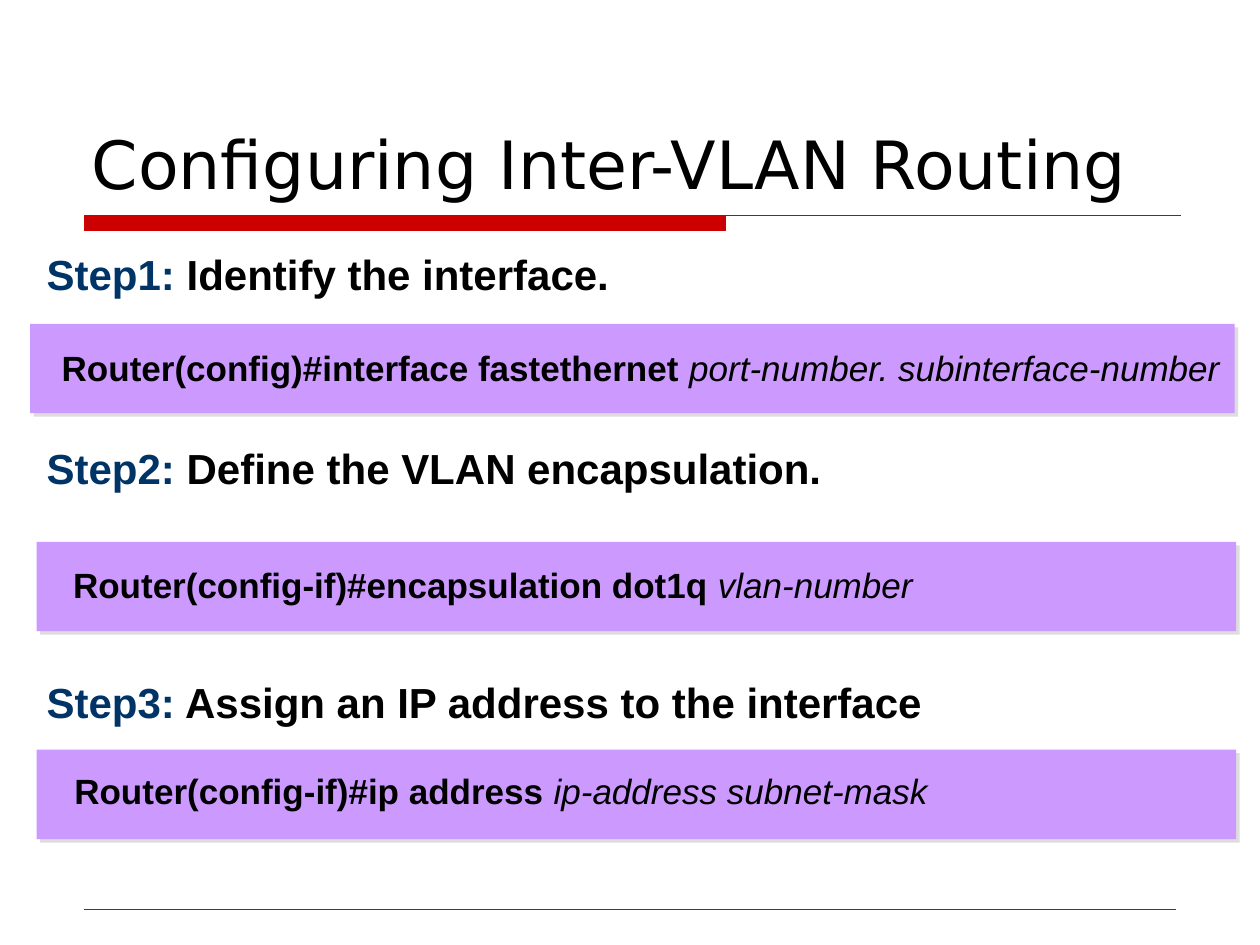
from lxml import etree
from pptx import Presentation
from pptx.dml.color import RGBColor
from pptx.enum.shapes import MSO_CONNECTOR, MSO_SHAPE
from pptx.enum.text import MSO_ANCHOR
from pptx.oxml.ns import qn
from pptx.util import Inches, Pt

RECT = MSO_SHAPE.RECTANGLE
LINE = MSO_CONNECTOR.STRAIGHT
TOP, BOTTOM = MSO_ANCHOR.TOP, MSO_ANCHOR.BOTTOM
RED = RGBColor(0xCC, 0x00, 0x00)
PURPLE = RGBColor(0xCC, 0x99, 0xFF)
NAVY = RGBColor(0x00, 0x33, 0x66)
BLACK = RGBColor(0x00, 0x00, 0x00)
SHADE = "DDDDDD"

STEPS = [
    ("Step1:", " Identify the interface.", 1.93, 4.75),
    ("Step2:", " Define the VLAN encapsulation.", 3.47, 6.45),
    ("Step3:", " Assign an IP address to the interface", 5.33, 8.08),
]
BARS = [(0.29, 5.95, 9.52), (0.29, 4.3, 9.52), (0.24, 2.57, 9.56)]
CODES = [
    ("Router(config)#interface fastethernet ",
     "port-number. subinterface-number", 0.41, 2.71, 9.45),
    ("Router(config-if)#encapsulation dot1q ",
     "vlan-number", 0.5, 4.43, 6.9),
    ("Router(config-if)#ip address ",
     "ip-address subnet-mask", 0.51, 6.07, 7.01),
]


def add_bar(slide, left, top, width):
    bar = slide.shapes.add_shape(
        RECT, Inches(left), Inches(top), Inches(width), Inches(0.71))
    bar.shadow.inherit = False
    bar.fill.solid()
    bar.fill.fore_color.rgb = PURPLE
    bar.line.fill.background()
    effects = bar.element.spPr.find(qn("a:effectLst"))
    shadow = etree.SubElement(
        effects, qn("a:outerShdw"), blurRad="0", dist=str(Pt(2.8)),
        dir="2700000", algn="ctr", rotWithShape="0")
    etree.SubElement(shadow, qn("a:srgbClr"), val=SHADE)


def paint_line(line, weight):
    line.fill.solid()
    line.fill.fore_color.rgb = RED
    line.width = Pt(weight)


def add_band(slide, left, top, mid, right, base):
    left, top, mid, right, base = map(Inches, (left, top, mid, right, base))
    path = slide.shapes.build_freeform(left, top)
    path.add_line_segments([(mid, top), (mid, base), (left, base)])
    path.move_to(left, top)
    path.add_line_segments([(right, top)], close=False)
    band = path.convert_to_shape()
    band.shadow.inherit = False
    band.fill.solid()
    band.fill.fore_color.rgb = RED
    paint_line(band.line, 0.75)


def add_rule(slide, left, right, top):
    rule = slide.shapes.add_connector(
        LINE, Inches(left), Inches(top), Inches(right), Inches(top))
    rule.element.remove(rule.element.find(qn("p:style")))
    paint_line(rule.line, 0.25)
    etree.SubElement(rule.element.spPr, qn("a:effectLst"))


def add_text(slide, place, parts, size, name="Arial", anchor=TOP,
             pad=(0.08, 0.04)):
    box = slide.shapes.add_textbox(*map(Inches, place))
    frame = box.text_frame
    frame.word_wrap = True
    frame.vertical_anchor = anchor
    frame.margin_left = frame.margin_right = Inches(pad[0])
    frame.margin_top = frame.margin_bottom = Inches(pad[1])
    line = frame.paragraphs[0]
    line.font.size = Pt(size)
    line.font.name = name
    for text, color, bold, italic in parts:
        run = line.add_run()
        run.text = text
        run.font.color.rgb = color
        run.font.bold = bold
        run.font.italic = italic


def main():
    deck = Presentation()
    deck.slide_width, deck.slide_height = Inches(10), Inches(7.5)
    slide = deck.slides.add_slide(deck.slide_layouts[6])

    add_band(slide, 0.67, 1.71, 5.76, 9.37, 1.83)
    add_rule(slide, 0.67, 9.33, 7.22)
    for bar in BARS:
        add_bar(slide, *bar)

    add_text(slide, (0.63, 0.33, 8.75, 1.33),
             [("Configuring Inter-VLAN Routing", BLACK, False, False)],
             38, "DejaVu Sans", BOTTOM, (0.1, 0.05))
    for label, task, top, width in STEPS:
        add_text(slide, (0.29, top, width, 0.48),
                 [(label, NAVY, True, False), (task, BLACK, True, False)], 24)
    for command, values, left, top, width in CODES:
        add_text(slide, (left, top, width, 0.41),
                 [(command, BLACK, True, False),
                  (values, BLACK, False, True)], 20)

    deck.save("out.pptx")


if __name__ == "__main__":
    main()
